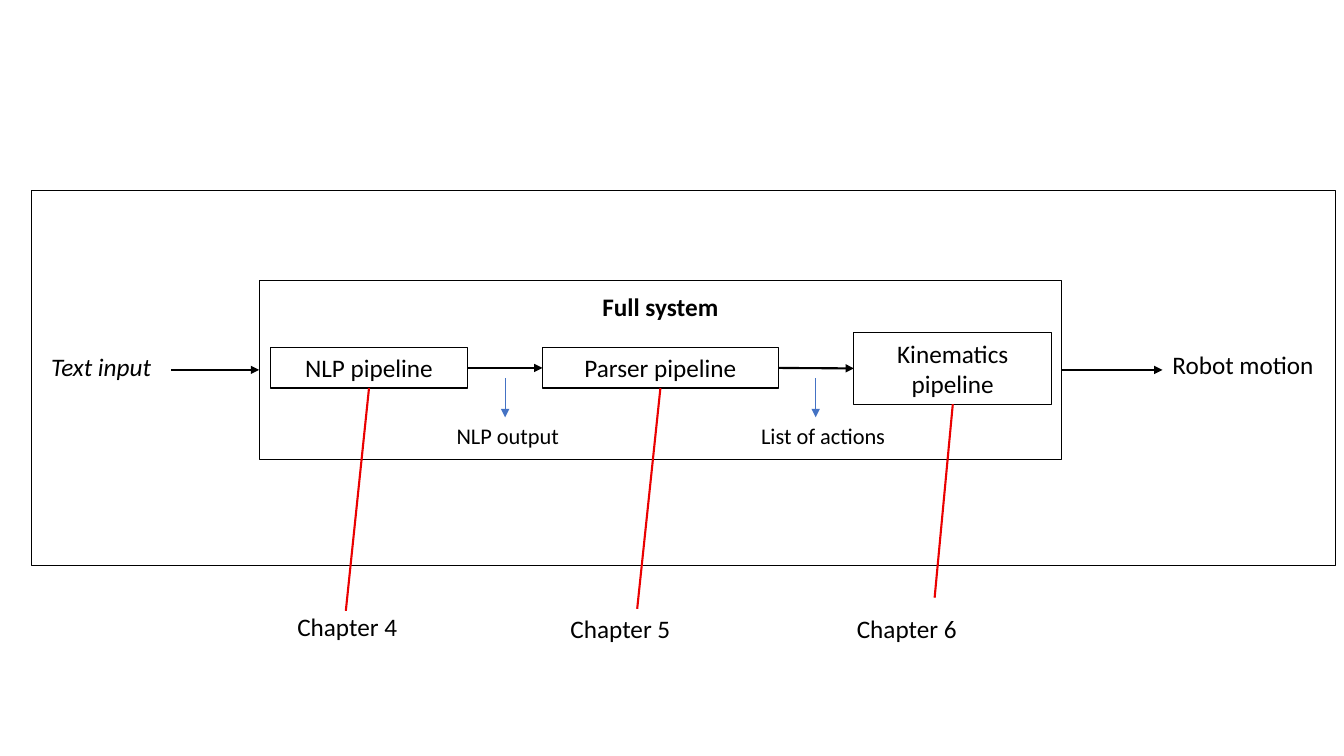
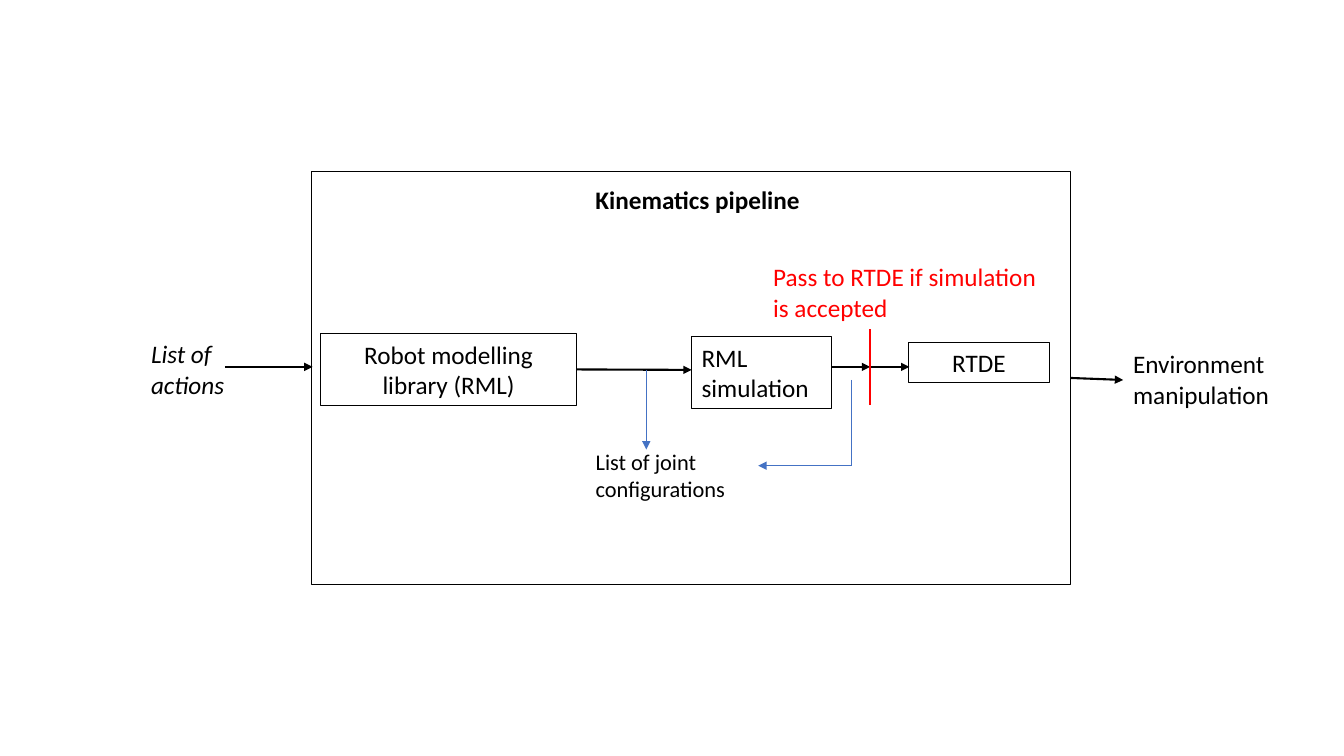
from dataclasses import dataclass

from lxml.etree import SubElement
from pptx import Presentation
from pptx.dml.color import RGBColor
from pptx.enum.shapes import MSO_CONNECTOR, MSO_SHAPE
from pptx.enum.text import MSO_ANCHOR, MSO_AUTO_SIZE, PP_ALIGN
from pptx.oxml.ns import qn
from pptx.util import Inches, Pt


@dataclass(frozen=True)
class Theme:
    font: str = "Calibri"
    black: RGBColor = RGBColor(0x00, 0x00, 0x00)
    white: RGBColor = RGBColor(0xFF, 0xFF, 0xFF)
    blue: RGBColor = RGBColor(0x44, 0x72, 0xC4)
    chapter_red: RGBColor = RGBColor(0xEA, 0x00, 0x00)
    gate_red: RGBColor = RGBColor(0xFF, 0x00, 0x00)
    body: Pt = Pt(18)
    note: Pt = Pt(16)
    outline: Pt = Pt(0.75)
    flow: Pt = Pt(1.5)
    thin: Pt = Pt(0.5)


THEME = Theme()
TOP, LEFT, BOTTOM, RIGHT = range(4)  # connection sites of a rectangle


# Text
def write_text(shape, text, align, anchor, **formats):
    frame = shape.text_frame
    for name, value in {"word_wrap": True, "vertical_anchor": anchor,
                        "auto_size": MSO_AUTO_SIZE.SHAPE_TO_FIT_TEXT}.items():
        setattr(frame, name, value)
    paragraph = frame.paragraphs[0]
    paragraph.text = text
    paragraph.alignment = align
    font = paragraph.runs[0].font
    font.color.rgb = formats.pop("color", THEME.black)
    for name, value in {"name": THEME.font, "size": THEME.body, **formats}.items():
        setattr(font, name, value)


def add_label(slide, bounds, text, align=PP_ALIGN.LEFT, **formats):
    label = slide.shapes.add_textbox(*map(Inches, bounds))
    write_text(label, text, align, MSO_ANCHOR.TOP, **formats)


# Rectangles
def add_box(slide, bounds, text=None, align=PP_ALIGN.CENTER, outline=THEME.black, **formats):
    box = slide.shapes.add_shape(MSO_SHAPE.RECTANGLE, *map(Inches, bounds))
    box.shadow.inherit = False
    box.fill.background()
    box.line.color.rgb = outline
    box.line.width = THEME.outline
    if text:
        write_text(box, text, align, MSO_ANCHOR.MIDDLE, **formats)
    return box


# Lines: each end is an (x, y) point or a (box, side) pair
def add_line(slide, start, end, color=THEME.black, width=THEME.flow, arrow=False):
    joined = [not isinstance(target, (int, float)) for target, _ in (start, end)]
    points = [(0, 0) if is_joined else target
              for is_joined, target in zip(joined, (start, end))]
    line = slide.shapes.add_connector(
        MSO_CONNECTOR.STRAIGHT, *(Inches(value) for point in points for value in point))
    if joined[0]:
        line.begin_connect(*start)
    if joined[1]:
        line.end_connect(*end)
    line.line.color.rgb = color
    line.line.width = width
    if arrow:
        SubElement(line.line._get_or_add_ln(), qn("a:tailEnd"), type="triangle")
    SubElement(line._element.spPr, qn("a:effectLst"))


def add_flow(slide, start, end):
    add_line(slide, start, end, arrow=True)


def add_pointer(slide, start, end, arrow=True):
    add_line(slide, start, end, THEME.blue, THEME.thin, arrow)


def build_full_system(slide):
    # Frames and stages
    add_box(slide, (0.31, 1.89, 12.94, 3.72))
    system = add_box(slide, (2.57, 2.78, 7.96, 1.78))
    add_label(slide, (2.57, 2.84, 7.96, 0.4), "Full system", PP_ALIGN.CENTER, bold=True)
    nlp = add_box(slide, (2.68, 3.45, 1.96, 0.4), "NLP pipeline")
    parser = add_box(slide, (5.38, 3.45, 2.34, 0.4), "Parser pipeline")
    kinematics = add_box(slide, (8.47, 3.3, 1.96, 0.71), "Kinematics pipeline")

    # Main flow
    add_label(slide, (0.41, 3.44, 2.86, 0.4), "Text input", italic=True)
    add_label(slide, (11.53, 3.42, 1.64, 0.4), "Robot motion")
    for start, end in [
        ((1.7, 3.67), (system, LEFT)),
        ((nlp, RIGHT), (parser, LEFT)),
        ((parser, RIGHT), (kinematics, LEFT)),
        ((system, RIGHT), (11.53, 3.67)),
    ]:
        add_flow(slide, start, end)

    # Intermediate results
    for text, left, width, x in [("NLP output", 4.43, 1.47, 5.01),
                                 ("List of actions", 7.45, 2.47, 8.09)]:
        add_label(slide, (left, 4.14, width, 0.37), text, size=THEME.note)
        add_pointer(slide, (x, 3.75), (x, 4.14))

    # Chapter references
    for stage, end, text, bounds in [
        (nlp, (3.43, 6.06), "Chapter 4", (2.85, 6.02, 1.22, 0.4)),
        (parser, (6.32, 6.04), "Chapter 5", (5.56, 6.04, 2.16, 0.4)),
        (kinematics, (9.27, 5.93), "Chapter 6", (8.4, 6.04, 1.94, 0.4)),
    ]:
        add_line(slide, (stage, BOTTOM), end, THEME.chapter_red)
        add_label(slide, bounds, text)


def build_kinematics(slide):
    # Frame and stages
    pipeline = add_box(slide, (3.09, 1.7, 7.53, 4.1))
    add_label(slide, (2.94, 1.78, 7.96, 0.4), "Kinematics pipeline", PP_ALIGN.CENTER, bold=True)
    modelling = add_box(slide, (3.18, 3.31, 2.54, 0.71), "Robot modelling library (RML)")
    add_box(slide, (6.86, 3.34, 1.39, 0.71), "RML simulation", PP_ALIGN.LEFT)
    add_box(slide, (9.01, 3.4, 1.4, 0.4), "RTDE")

    # Main flow
    add_label(slide, (1.4, 3.31, 1.26, 0.71), "List of actions", italic=True)
    add_label(slide, (11.14, 3.41, 1.64, 0.71), "Environment manipulation")
    for start, end in [
        ((2.23, 3.64), (3.1, 3.64)),
        ((modelling, RIGHT), (6.86, 3.67)),
        ((8.25, 3.64), (8.63, 3.64)),
        ((8.63, 3.64), (9.02, 3.64)),
        ((pipeline, RIGHT), (11.14, 3.77)),
    ]:
        add_flow(slide, start, end)

    # Joint configurations
    add_label(slide, (5.81, 4.4, 1.81, 0.64), "List of joint configurations", size=THEME.note)
    add_pointer(slide, (6.41, 3.67), (6.41, 4.46))
    add_pointer(slide, (8.44, 3.77), (8.44, 4.62), arrow=False)
    add_pointer(slide, (8.44, 4.62), (7.52, 4.62))

    # Acceptance gate
    add_line(slide, (8.63, 4.02), (8.63, 3.26), THEME.gate_red)
    add_box(slide, (7.57, 2.54, 2.82, 0.71), "Pass to RTDE if simulation is accepted",
            PP_ALIGN.LEFT, outline=THEME.white, color=THEME.gate_red)


def main():
    presentation = Presentation()
    presentation.slide_width = Inches(13.33)
    presentation.slide_height = Inches(7.5)
    blank_layout = presentation.slide_layouts.get_by_name("Blank")
    for build in (build_full_system, build_kinematics):
        build(presentation.slides.add_slide(blank_layout))
    presentation.save("out.pptx")


if __name__ == "__main__":
    main()
